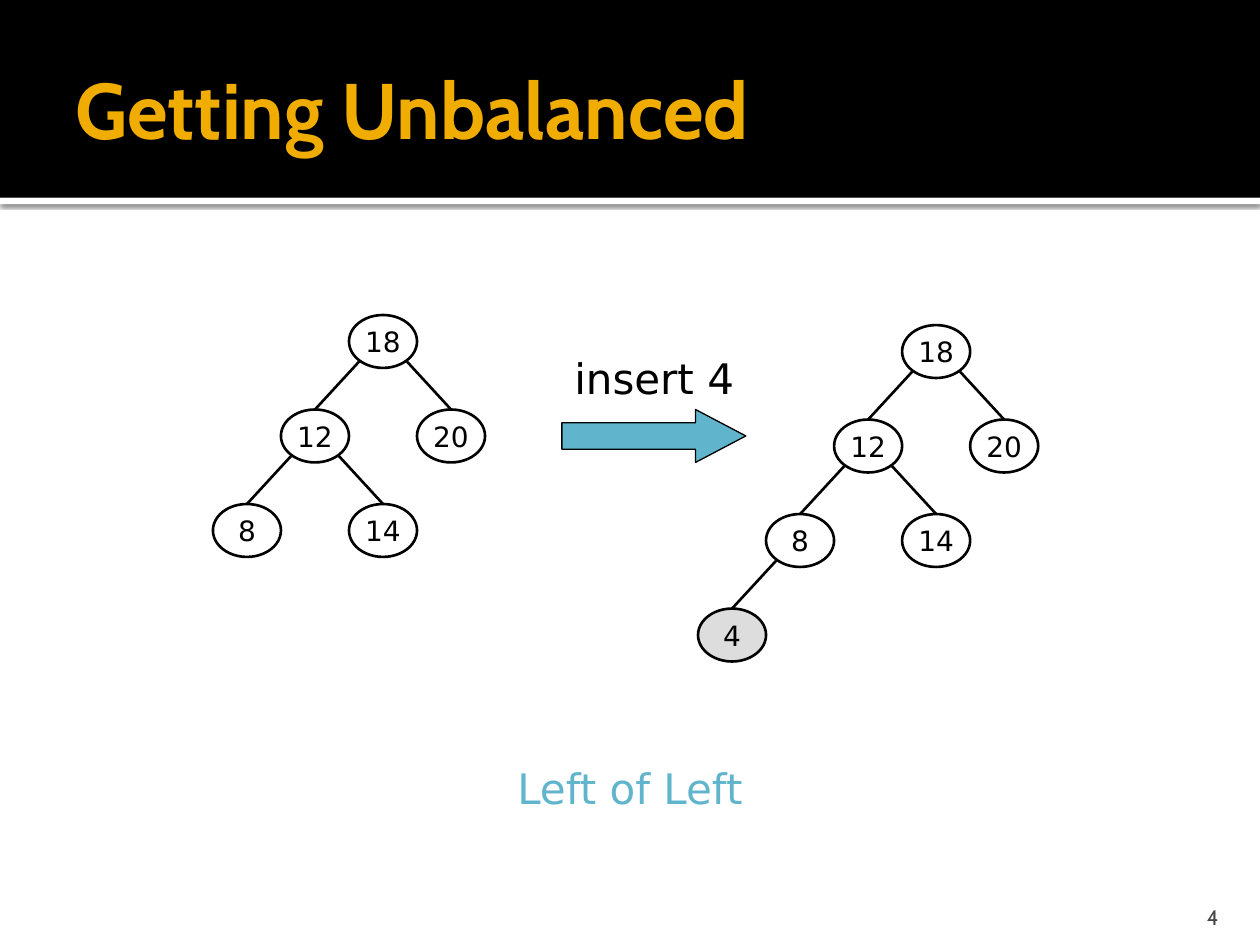
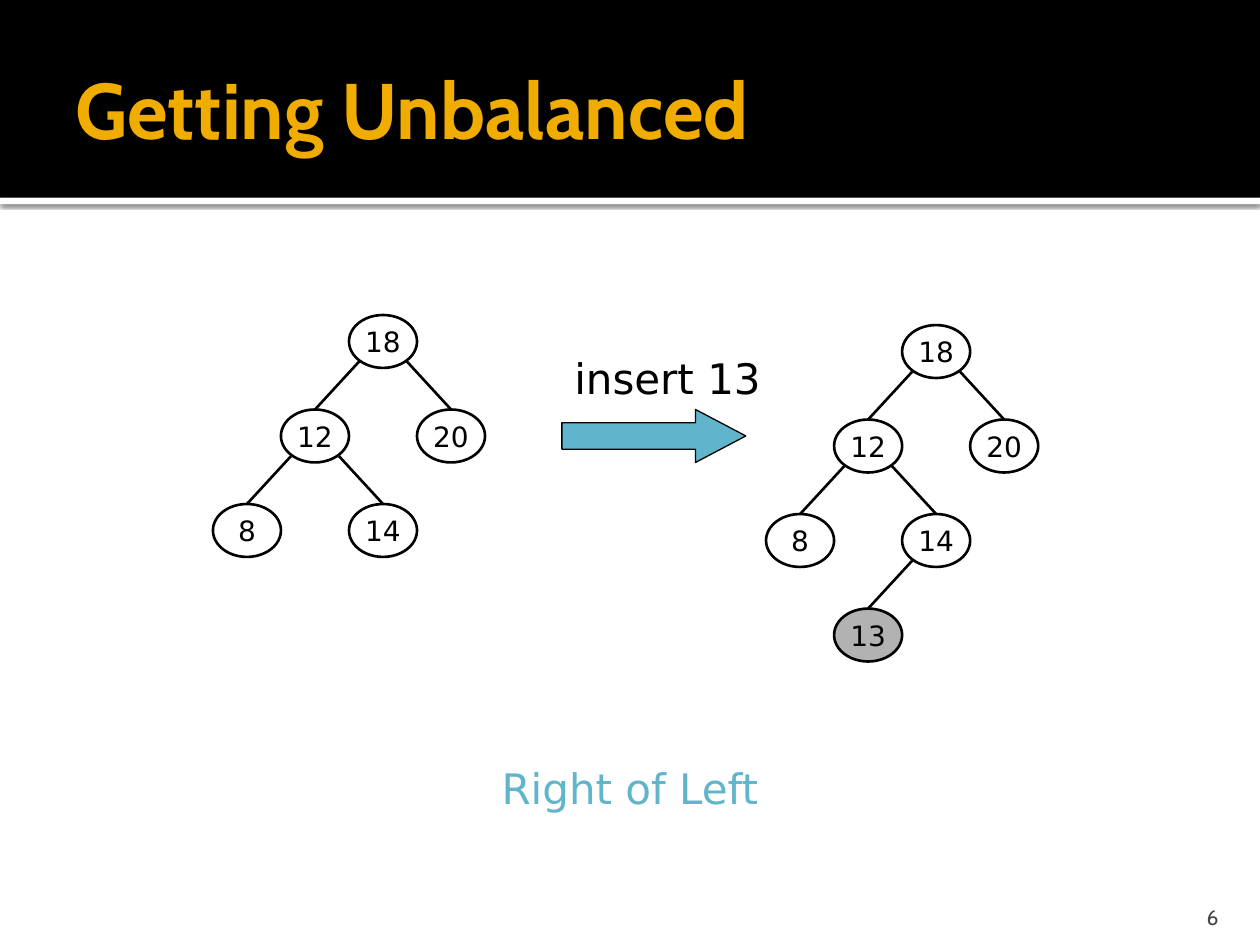
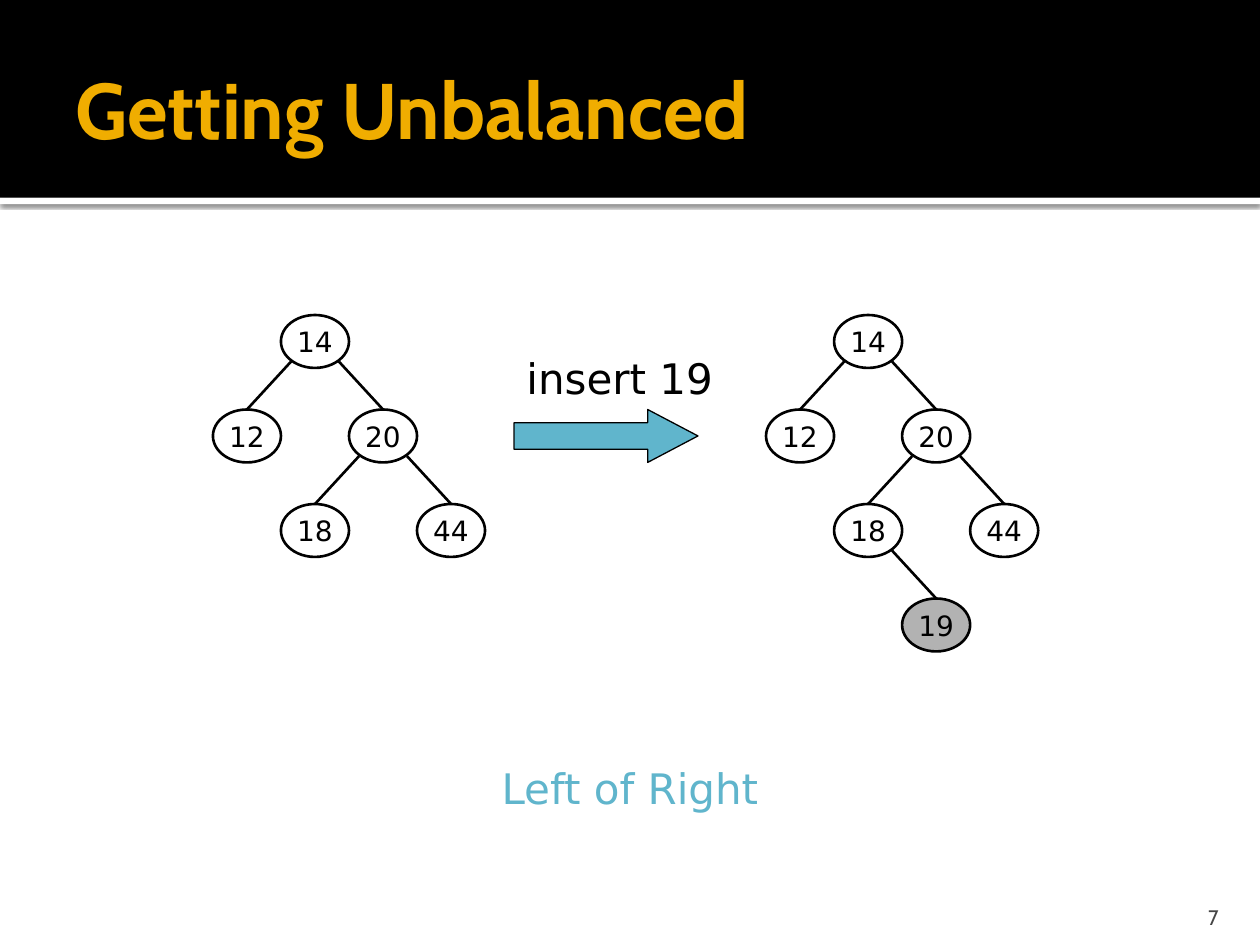
from dataclasses import dataclass
from typing import NamedTuple

from lxml import etree
from pptx import Presentation
from pptx import util as u
from pptx.dml.color import RGBColor
from pptx.enum import shapes, text
from pptx.oxml import ns

# Shared look
BLACK, WHITE = "000000", "FFFFFF"
GOLD, TEAL, DARK_GREY = "F0AD00", "60B5CC", "454545"
LIGHT_GREY, MID_GREY = "DDDDDD", "B2B2B2"
HEAD_FONT, BODY_FONT = "Cabin", "DejaVu Sans"
BAND_HEIGHT = 1.57

# Tree grid: a child sits one row below and one column beside its parent
NODE_WIDTH, NODE_HEIGHT = 0.54, 0.42
COLUMN_STEP, ROW_STEP = 0.54, 0.75
EDGE_SIDE, EDGE_DROP = 0.19, 0.37
LEFT_TREE, RIGHT_TREE = 1.69, 6.08
ARROW_TOP = 3.25


class Style(NamedTuple):
    size: float
    font: str
    colour: str
    bold: bool = False
    align: text.PP_ALIGN = text.PP_ALIGN.LEFT
    anchor: text.MSO_ANCHOR = text.MSO_ANCHOR.TOP


TITLE = Style(45, HEAD_FONT, GOLD, bold=True, anchor=text.MSO_ANCHOR.MIDDLE)
NUMBER = Style(12, HEAD_FONT, DARK_GREY, align=text.PP_ALIGN.RIGHT,
               anchor=text.MSO_ANCHOR.BOTTOM)
NODE = Style(16, BODY_FONT, BLACK, align=text.PP_ALIGN.CENTER,
             anchor=text.MSO_ANCHOR.MIDDLE)
LABEL = Style(24, BODY_FONT, BLACK)
CASE = Style(24, BODY_FONT, TEAL, align=text.PP_ALIGN.CENTER)


class Node(NamedTuple):
    key: int
    column: int
    row: int
    parent: int | None = None


@dataclass(frozen=True)
class Insertion:
    page_number: int
    case: str
    tree: tuple[Node, ...]
    added: Node
    added_fill: str
    arrow_left: float
    result_top: float


LEFT_HEAVY = (Node(18, 2, 0), Node(12, 1, 1, 18), Node(20, 3, 1, 18),
              Node(8, 0, 2, 12), Node(14, 2, 2, 12))
RIGHT_HEAVY = (Node(14, 1, 0), Node(12, 0, 1, 14), Node(20, 2, 1, 14),
               Node(18, 1, 2, 20), Node(44, 3, 2, 20))

INSERTIONS = (
    Insertion(4, "Left of Left", LEFT_HEAVY, Node(4, -1, 3, 8), LIGHT_GREY, 4.46, 2.58),
    Insertion(6, "Right of Left", LEFT_HEAVY, Node(13, 1, 3, 14), MID_GREY, 4.46, 2.58),
    Insertion(7, "Left of Right", RIGHT_HEAVY, Node(19, 2, 3, 18), MID_GREY, 4.08, 2.5),
)


def rgb(colour: str) -> RGBColor:
    return RGBColor.from_string(colour)


def write(shape, words: str, style: Style) -> None:
    frame = shape.text_frame
    frame.text = words
    frame.vertical_anchor = style.anchor
    para = frame.paragraphs[0]
    para.alignment = style.align
    font = para.runs[0].font
    font.size, font.name, font.bold = u.Pt(style.size), style.font, style.bold
    font.color.rgb = rgb(style.colour)


def add_text(page, words: str, style: Style, left: float, top: float,
             width: float, height: float, insets: tuple[float, ...] = (0.1, 0.05, 0.1, 0.05)):
    box = page.shapes.add_textbox(*map(u.Inches, (left, top, width, height)))
    frame = box.text_frame
    frame.word_wrap = True
    (frame.margin_left, frame.margin_top,
     frame.margin_right, frame.margin_bottom) = map(u.Inches, insets)
    write(box, words, style)
    return box


def add_shape(page, kind: shapes.MSO_SHAPE, left: float, top: float, width: float,
              height: float, fill: str | None = None, line: float | None = None):
    shape = page.shapes.add_shape(kind, *map(u.Inches, (left, top, width, height)))
    shape.shadow.inherit = False
    if fill:
        shape.fill.solid()
        shape.fill.fore_color.rgb = rgb(fill)
    else:
        shape.fill.background()
    if line:
        shape.line.color.rgb = rgb(BLACK)
        shape.line.width = u.Pt(line)
    else:
        shape.line.fill.background()
    return shape


def add_shadow(shape) -> None:
    effects = shape._element.spPr.find(ns.qn("a:effectLst"))
    shadow = etree.SubElement(effects, ns.qn("a:outerShdw"), blurRad=str(u.Pt(2.5)),
                              dist=str(u.Pt(0.8)), dir="5400000", rotWithShape="0")
    colour = etree.SubElement(shadow, ns.qn("a:srgbClr"), val=BLACK)
    etree.SubElement(colour, ns.qn("a:alpha"), val="60000")


def add_frame(page, number: int) -> None:
    """Title band, slide number and title."""
    rectangle = shapes.MSO_SHAPE.RECTANGLE
    add_shadow(add_shape(page, rectangle, 0, BAND_HEIGHT, 10, 0.05, WHITE))
    add_shape(page, rectangle, 0, 0, 10, BAND_HEIGHT, BLACK)
    add_text(page, str(number), NUMBER, 8.97, 7.08, 0.8, 0.3, (0.1, 0.05, 0.1, 0))
    add_text(page, "Getting Unbalanced", TITLE, 0.5, 0.17, 9, 1.37, (0.1, 0.05, 0.05, 0.05))


def add_edge(page, parent, child) -> None:
    middle = parent.left + parent.width // 2
    side = u.Inches(EDGE_SIDE) if child.left > parent.left else -u.Inches(EDGE_SIDE)
    edge = page.shapes.add_connector(
        shapes.MSO_CONNECTOR.STRAIGHT, middle + side, parent.top + u.Inches(EDGE_DROP),
        child.left + child.width // 2, child.top)
    edge.end_connect(child, 0)
    edge.line.color.rgb = rgb(BLACK)
    edge.line.width = u.Pt(1.5)
    etree.SubElement(edge._element.spPr, ns.qn("a:effectLst"))


def add_tree(page, nodes: tuple[Node, ...], left: float, top: float,
             fills: dict[int, str]) -> None:
    drawn = {}
    for node in nodes:
        oval = add_shape(page, shapes.MSO_SHAPE.OVAL, left + node.column * COLUMN_STEP,
                         top + node.row * ROW_STEP, NODE_WIDTH, NODE_HEIGHT,
                         fills.get(node.key), 1.5)
        write(oval, str(node.key), NODE)
        oval.text_frame.word_wrap = False
        drawn[node.key] = oval
        if node.parent is not None:
            add_edge(page, drawn[node.parent], oval)


def add_insertion(page, step: Insertion) -> None:
    add_frame(page, step.page_number)

    # Trees before and after
    add_tree(page, step.tree, LEFT_TREE, 2.5, {})
    add_tree(page, step.tree + (step.added,), RIGHT_TREE, step.result_top,
             {step.added.key: step.added_fill})

    # Arrow with its label, and the name of the case
    arrow = add_shape(page, shapes.MSO_SHAPE.RIGHT_ARROW, step.arrow_left, ARROW_TOP,
                      1.46, 0.42, TEAL, 0.75)
    arrow.adjustments[0], arrow.adjustments[1] = 0.5, 0.95
    label = add_text(page, f"insert {step.added.key}", LABEL,
                     step.arrow_left, ARROW_TOP - 0.5, 1.77, 0.5)
    case = add_text(page, step.case, CASE, 0, 6, 10, 0.51)
    for box in (label, case):
        box.text_frame.auto_size = text.MSO_AUTO_SIZE.SHAPE_TO_FIT_TEXT


def main() -> None:
    deck = Presentation()
    deck.slide_width, deck.slide_height = u.Inches(10), u.Inches(7.5)
    for step in INSERTIONS:
        add_insertion(deck.slides.add_slide(deck.slide_layouts[6]), step)
    deck.save("out.pptx")


if __name__ == "__main__":
    main()
